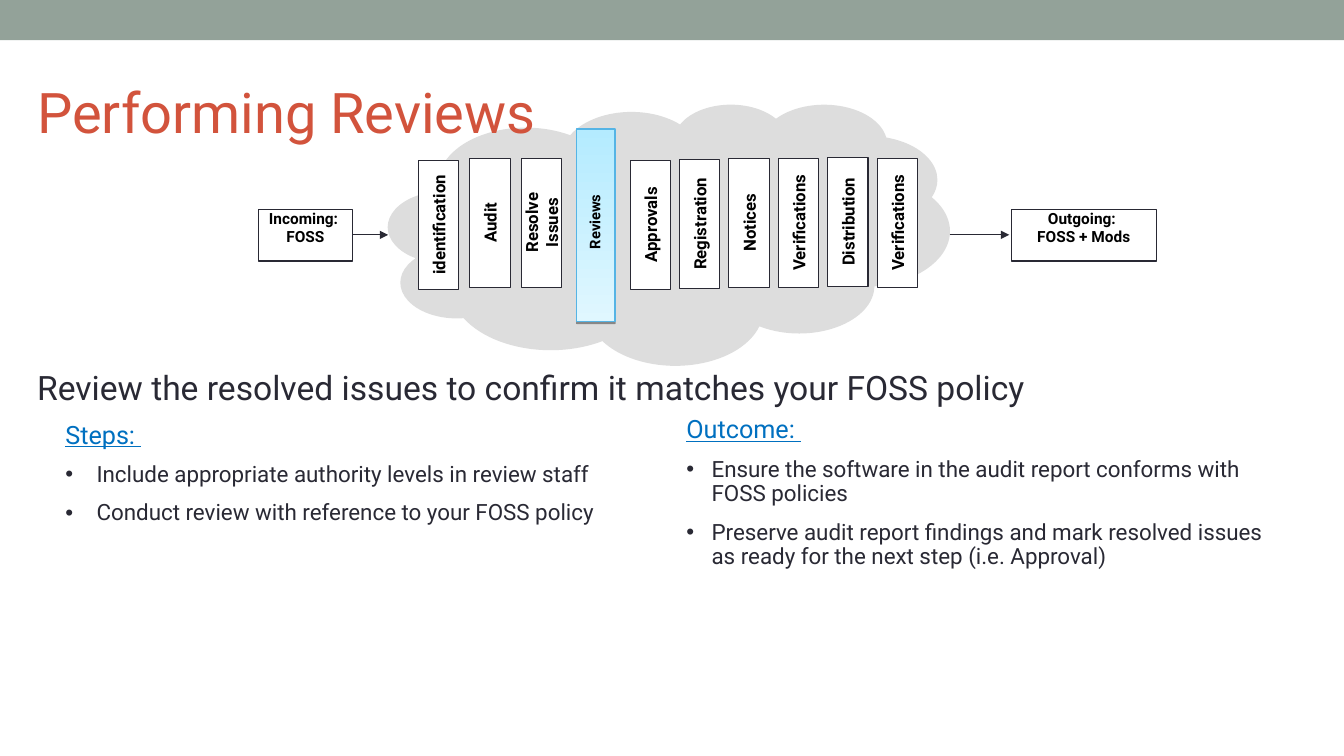
"""Build the slide about performing reviews in a FOSS process."""
from pptx import Presentation, util as u
from pptx.dml.color import RGBColor
from pptx.enum import shapes, text
from pptx.oxml import parse_xml
from pptx.oxml.ns import nsdecls

INK, BLACK, WHITE = "292934", "000000", "FFFFFF"
BLUE, RED = "0070C0", "D2533C"


def rgb(code):
    return RGBColor.from_string(code)


def node(tag, attrs="", inner=""):
    return parse_xml(f'<a:{tag} {nsdecls("a")} {attrs}>{inner}</a:{tag}>')


class Deck:
    font = "Roboto"

    def __init__(self):
        self.prs = Presentation()
        self.prs.slide_width = u.Inches(13.33)
        self.prs.slide_height = u.Inches(7.5)
        self.slide = self.prs.slides.add_slide(self.prs.slide_layouts[5])
        self.items = self.slide.shapes

    def run(self, para, words, size, color, bold=False, under=False):
        run = para.add_run()
        run.text = words
        font = run.font
        font.name, font.size, font.color.rgb = self.font, u.Pt(size), rgb(color)
        font.bold, font.underline = bold, under

    def frame(self, shape, anchor=text.MSO_ANCHOR.TOP):
        frame = shape.text_frame
        frame.word_wrap = True
        frame.auto_size = text.MSO_AUTO_SIZE.NONE
        frame.vertical_anchor = anchor
        return frame

    def title(self, words, box):
        title = self.items.title
        title.left, title.top, title.width, title.height = map(u.Inches, box)
        para = self.frame(title, text.MSO_ANCHOR.MIDDLE).paragraphs[0]
        para.alignment = text.PP_ALIGN.LEFT
        self.run(para, words, 40, RED)
        self.items._spTree.append(title._element)

    def shape(self, box, fill, line=None, kind=shapes.MSO_SHAPE.RECTANGLE):
        shape = self.items.add_shape(kind, *map(u.Inches, box))
        shape.shadow.inherit = False
        shape.fill.solid()
        shape.fill.fore_color.rgb = rgb(fill)
        if line:
            shape.line.color.rgb = rgb(line)
            shape.line.width = u.Pt(0.75)
        else:
            shape.line.fill.background()
        return shape

    def glow(self, box, top, base, line):
        shape = self.shape(box, top, line)
        shape.fill.gradient()
        shape.fill.gradient_angle = 270
        for stop, code, spot in zip(shape.fill.gradient_stops, (top, base), (0, 1)):
            stop.color.rgb = rgb(code)
            stop.position = spot
        shade = '<a:srgbClr val="000000"><a:alpha val="38000"/></a:srgbClr>'
        effects = shape._element.spPr.find(
            "{http://schemas.openxmlformats.org/drawingml/2006/main}effectLst")
        effects.append(node("outerShdw", 'dist="20320" dir="5400000" rotWithShape="0"', shade))

    def turn(self, shape, words, size):
        shape.rotation = 270
        para = self.frame(shape, text.MSO_ANCHOR.MIDDLE).paragraphs[0]
        para.alignment = text.PP_ALIGN.CENTER
        self.run(para, words, size, BLACK, bold=True)

    def stage(self, words, x, y):
        wide, high = 1.28, 0.4
        box = (x - wide / 2, y - high / 2, wide, high)
        self.turn(self.shape(box, WHITE, INK), words, 12)

    def port(self, box, lines, space):
        frame = self.frame(self.shape(box, WHITE, INK))
        for i, words in enumerate(lines):
            para = frame.add_paragraph() if i else frame.paragraphs[0]
            para.alignment = text.PP_ALIGN.CENTER
            para.line_spacing = 1.0 if i else space
            self.run(para, words, 11, BLACK, bold=True)

    def arrow(self, start, end, y):
        ends = map(u.Inches, (start, y, end, y))
        line = self.items.add_connector(shapes.MSO_CONNECTOR.STRAIGHT, *ends)
        line.line.color.rgb = rgb(INK)
        line.line.width = u.Pt(0.75)
        line.line._get_or_add_ln().append(node("tailEnd", 'type="triangle"'))
        line._element.spPr.append(node("effectLst"))

    def label(self, box):
        return self.items.add_textbox(*map(u.Inches, box))

    def note(self, box, words):
        para = self.frame(self.label(box)).paragraphs[0]
        self.run(para, words, 24, INK)

    def points(self, box, head, lines, indent):
        frame = self.frame(self.label(box))
        first = frame.paragraphs[0]
        first.line_spacing = 0.9
        self.run(first, head, 18, BLUE, under=True)
        for words in lines:
            para = frame.add_paragraph()
            para.line_spacing, para.space_before = 0.9, u.Pt(10)
            props = para._p.get_or_add_pPr()
            props.set("marL", str(u.Inches(indent)))
            props.set("indent", str(-u.Inches(indent)))
            props.append(node("buClr", inner=f'<a:srgbClr val="{INK}"/>'))
            props.append(node("buFont", 'typeface="Arial"'))
            props.append(node("buChar", 'char="•"'))
            self.run(para, words, 16, INK)


def main():
    deck = Deck()
    deck.shape((0, 0, 13.33, 0.4), "93A299")
    cloud = deck.shape((3.85, 1.03, 5.57, 2.59), "DDDDDD",
                       kind=shapes.MSO_SHAPE.CLOUD_CALLOUT)
    cloud.adjustments[0], cloud.adjustments[1] = -0.007, 0.116
    deck.arrow(9.42, 10.01, 2.33)
    deck.glow((5.72, 1.28, 0.38, 1.91), "B4EBFF", "E0F7FF", "55B4E5")
    deck.turn(deck.label((4.94, 2.01, 1.91, 0.38)), "Reviews", 10.5)

    before = [("identification", 2.23), ("Audit", 2.21), ("Resolve Issues", 2.21)]
    after = [("Approvals", 2.23), ("Registration", 2.22), ("Notices", 2.21),
             ("Verifications", 2.21), ("Distribution", 2.2), ("Verifications", 2.21)]
    for group, left, step in ((before, 4.35, 0.51), (after, 6.45, 0.49)):
        for i, (words, y) in enumerate(group):
            deck.stage(words, left + i * step, y)

    deck.points((6.71, 4.09, 5.94, 3.1), "Outcome: ", [
        "Ensure the software in the audit report conforms with FOSS policies",
        "Preserve audit report findings and mark resolved issues as ready "
        "for the next step (i.e. Approval)"], 0.25)
    deck.points((0.55, 4.14, 5.86, 3.03), "Steps: ", [
        "Include appropriate authority levels in review staff",
        "Conduct review with reference to your FOSS policy"], 0.31)
    deck.note((0.27, 3.59, 13.06, 0.5),
              "Review the resolved issues to confirm it matches your FOSS policy")
    deck.title("Performing Reviews", (0.27, 0.56, 12, 1.08))
    deck.port((2.56, 2.08, 0.94, 0.51), ("Incoming: ", "FOSS"), 0.65)
    deck.arrow(3.5, 3.85, 2.33)
    deck.port((10.03, 2.08, 1.44, 0.51), ("Outgoing: ", "FOSS + Mods"), 0.7)
    deck.prs.save("out.pptx")


if __name__ == "__main__":
    main()
